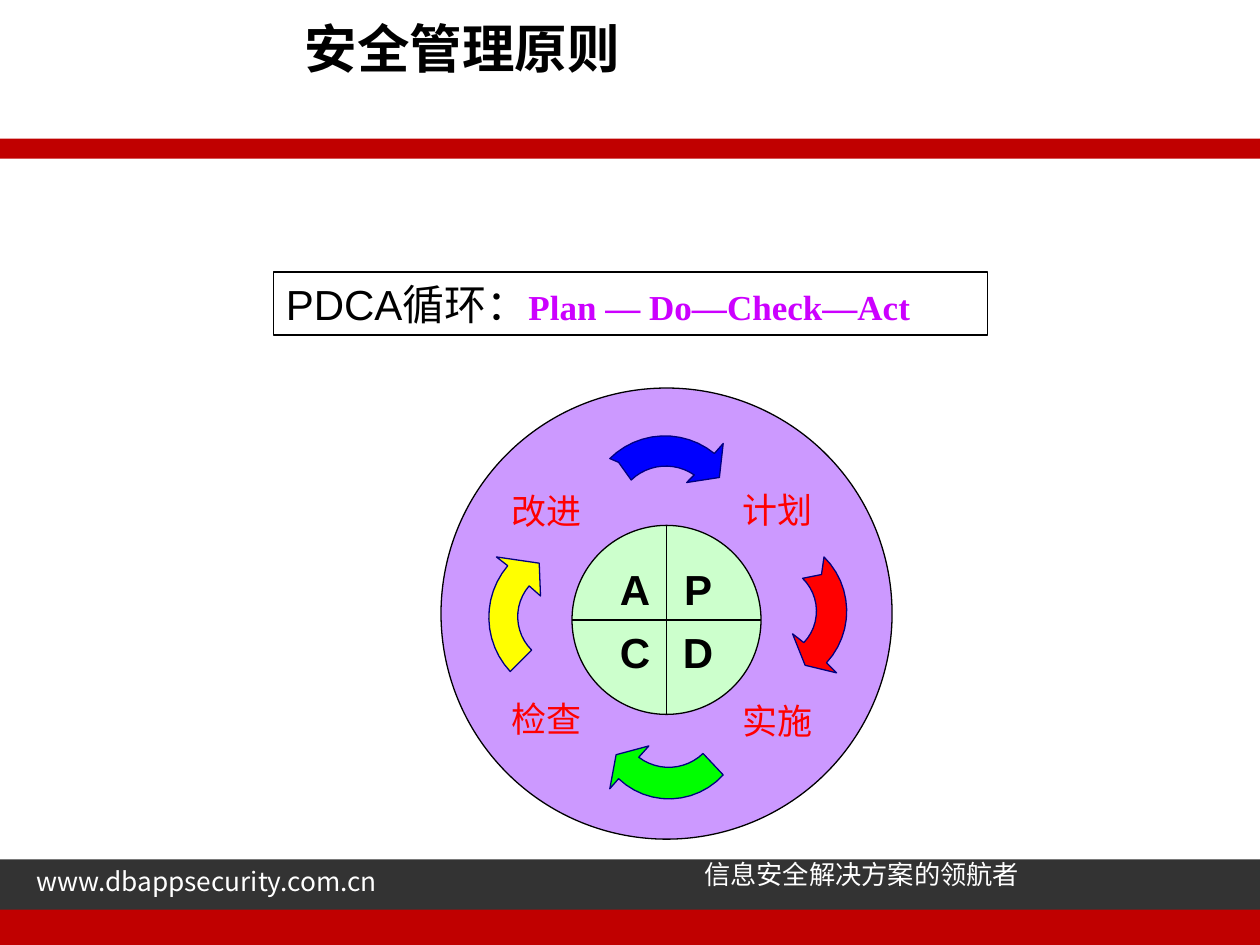
from math import atan2, cos, sin
from lxml.etree import SubElement
from pptx import Presentation
from pptx.dml.color import RGBColor
from pptx.enum.shapes import MSO_CONNECTOR, MSO_SHAPE
from pptx.enum.text import MSO_ANCHOR, PP_ALIGN
from pptx.oxml.ns import qn
from pptx.util import Inches, Pt

THEME = {
    "sans": "Arial", "serif": "Times New Roman", "cjk": "Noto Sans CJK SC",
    "black": "000000", "white": "FFFFFF", "brand": "C00000", "dark": "333333",
    "ring": "CC99FF", "hub": "CCFFCC", "label": "FF0000", "accent": "CC00FF",
    "edge": "000080", "title": 30, "large": 24, "medium": 20, "small": 15,
}
TITLE = "安全管理原则"
BARS = [((0, 6.82, 10, 0.47), "dark"), ((0, 7.22, 10, 0.28), "brand"),
        ((0, 1.1, 10, 0.16), "brand")]
FOOTERS = [((5.49, 6.76, 2.9, 0.35), "信息安全解决方案的领航者"),
           ((0.19, 6.82, 3.2, 0.35), "www.dbappsecurity.com.cn")]
CYCLE = [("PDCA循环", "sans", "large", "black", False),
         ("：", "cjk", "large", "black", False),
         ("Plan — Do—Check—Act", "serif", "medium", "accent", True)]
LABELS = [((5.71, 3.82), "计划"), ((5.71, 5.5), "实施"),
          ((3.88, 5.48), "检查"), ((3.88, 3.83), "改进")]
LETTERS = [("A", "P"), ("C", "D")]
HUB = (5.29, 4.92)
RADIUS, CELL = 0.75, 0.5
ARROWS = [
    {"fill": "0000FF", "outer": [(4.84, 3.64), (5.28, 3.46), (5.67, 3.6)],
     "head": [(5.74, 3.52), (5.71, 3.79), (5.45, 3.83)],
     "inner": [(5.51, 3.77), (5.27, 3.7), (5.01, 3.81)], "notch": [(4.91, 3.67)]},
    {"fill": "FF0000", "outer": [(6.54, 4.42), (6.72, 4.84), (6.56, 5.26)],
     "head": [(6.64, 5.34), (6.39, 5.28), (6.29, 5.03)],
     "inner": [(6.38, 5.1), (6.48, 4.85), (6.37, 4.59)], "notch": [(6.52, 4.56)]},
    {"fill": "00FF00", "outer": [(5.74, 6.15), (5.33, 6.34), (4.91, 6.18)],
     "head": [(4.84, 6.26), (4.89, 5.99), (5.15, 5.92)],
     "inner": [(5.07, 6.01), (5.31, 6.09), (5.58, 5.98)], "notch": []},
    {"fill": "FFFF00", "outer": [(4.05, 5.33), (3.88, 4.91), (4.03, 4.49)],
     "head": [(3.94, 4.42), (4.28, 4.47), (4.29, 4.73)],
     "inner": [(4.2, 4.65), (4.11, 4.92), (4.22, 5.16)], "notch": []},
]


def rgb(code):
    return RGBColor.from_string(code)


def paint(shape, fill=None, line=None):
    shape.shadow.inherit = False
    if fill:
        shape.fill.solid()
        shape.fill.fore_color.rgb = rgb(fill)
    else:
        shape.fill.background()
    if line:
        shape.line.color.rgb = rgb(line)
        shape.line.width = Pt(0.75)
    else:
        shape.line.fill.background()


def style(run, face, size, color, bold=False):
    font = run.font
    font.name, font.size, font.bold = THEME[face], Pt(THEME[size]), bold
    font.color.rgb = rgb(THEME[color])
    SubElement(run._r.get_or_add_rPr(), qn("a:ea")).set("typeface", THEME["cjk"])


def shape(host, kind, box, fill=None, line=None):
    item = host.add_shape(kind, *map(Inches, box))
    paint(item, fill, line)
    return item


def text(host, box, words, face, size, color, bold=False, align=PP_ALIGN.CENTER):
    frame = host.add_textbox(*map(Inches, box)).text_frame
    frame.word_wrap = True
    frame.vertical_anchor = MSO_ANCHOR.MIDDLE
    frame.text = words
    frame.paragraphs[0].alignment = align
    style(frame.paragraphs[0].runs[0], face, size, color, bold)


def arc(points, steps=12):
    a, b, c = (complex(*p) for p in points)
    w = (c - a) / (b - a)
    mid = a - (a - b) * (w - abs(w) ** 2) / 2j / w.imag
    turn = (c - mid) / (a - mid)
    sweep = atan2(turn.imag, turn.real)
    spots = [mid + (a - mid) * complex(cos(sweep * i / steps), sin(sweep * i / steps))
             for i in range(steps + 1)]
    return [(p.real, p.imag) for p in spots]


def arrow(host, fill, outer, head, inner, notch):
    dots = [(Inches(x), Inches(y)) for x, y in arc(outer) + head + arc(inner) + notch]
    pen = host.build_freeform(*dots[0])
    pen.add_line_segments(dots[1:], close=True)
    paint(pen.convert_to_shape(), fill, THEME["edge"])


def rule(host, start, end):
    line = host.add_connector(MSO_CONNECTOR.STRAIGHT, *map(Inches, start + end))
    line.line.color.rgb = rgb(THEME["black"])
    line.line.width = Pt(0.75)
    SubElement(line._element.spPr, qn("a:effectLst"))


def banner(host):
    frame = shape(host, MSO_SHAPE.RECTANGLE, (2.17, 2.16, 5.67, 0.5),
                  line=THEME["black"]).text_frame
    frame.word_wrap = True
    frame.vertical_anchor = MSO_ANCHOR.MIDDLE
    para = frame.paragraphs[0]
    para.alignment = PP_ALIGN.LEFT
    for words, *look in CYCLE:
        run = para.add_run()
        run.text = words
        style(run, *look)


def wheel(host):
    x, y = HUB
    shape(host, MSO_SHAPE.OVAL, (x - RADIUS, y - RADIUS, 2 * RADIUS, 2 * RADIUS),
          THEME["hub"], THEME["black"])
    rule(host, (x, y - RADIUS), (x, y + RADIUS))
    rule(host, (x - RADIUS, y), (x + RADIUS, y))
    for row, pair in enumerate(LETTERS):
        for col, letter in enumerate(pair):
            box = (x + (col - 1) * CELL, y + (row - 1) * CELL, CELL, CELL)
            text(host, box, letter, "sans", "large", "black", True)


def heading(title):
    title.left, title.top, title.width, title.height = map(Inches, (0, 0.1, 7.34, 0.56))
    frame = title.text_frame
    frame.text = TITLE
    frame.vertical_anchor = MSO_ANCHOR.MIDDLE
    frame.paragraphs[0].alignment = PP_ALIGN.CENTER
    style(frame.paragraphs[0].runs[0], "cjk", "title", "black", True)


def main():
    deck = Presentation()
    deck.slide_width, deck.slide_height = Inches(10), Inches(7.5)
    slide = deck.slides.add_slide(deck.slide_layouts[5])
    host = slide.shapes
    heading(host.title)
    for box, color in BARS:
        shape(host, MSO_SHAPE.RECTANGLE, box, THEME[color])
    for box, words in FOOTERS:
        text(host, box, words, "cjk", "small", "white", align=PP_ALIGN.LEFT)
    banner(host)
    shape(host, MSO_SHAPE.OVAL, (3.5, 3.08, 3.58, 3.58), THEME["ring"], THEME["black"])
    for spot, words in LABELS:
        text(host, spot + (0.92, 0.44), words, "sans", "medium", "label")
    wheel(host.add_group_shape().shapes)
    for part in ARROWS:
        arrow(host, **part)
    deck.save("out.pptx")


if __name__ == "__main__":
    main()
